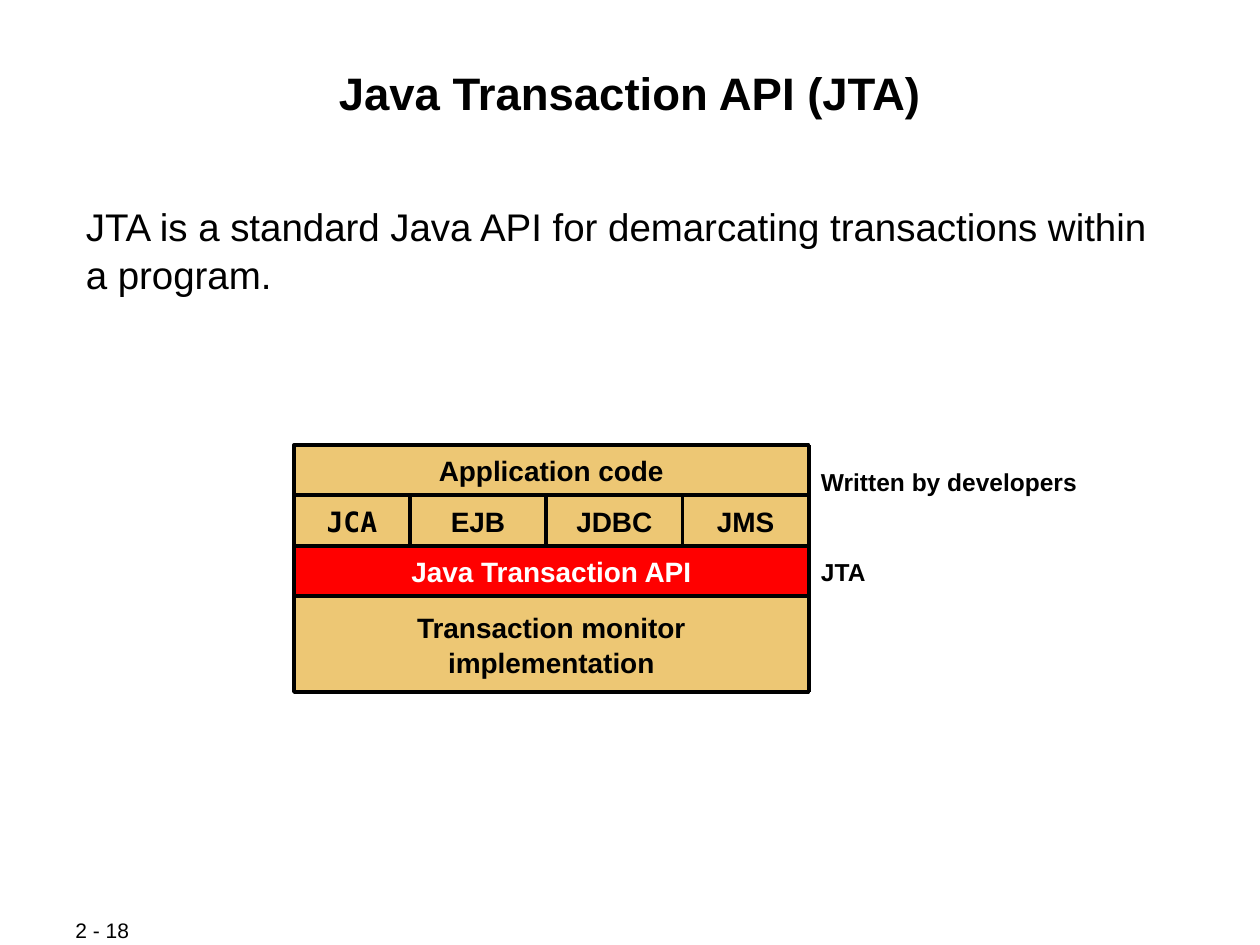
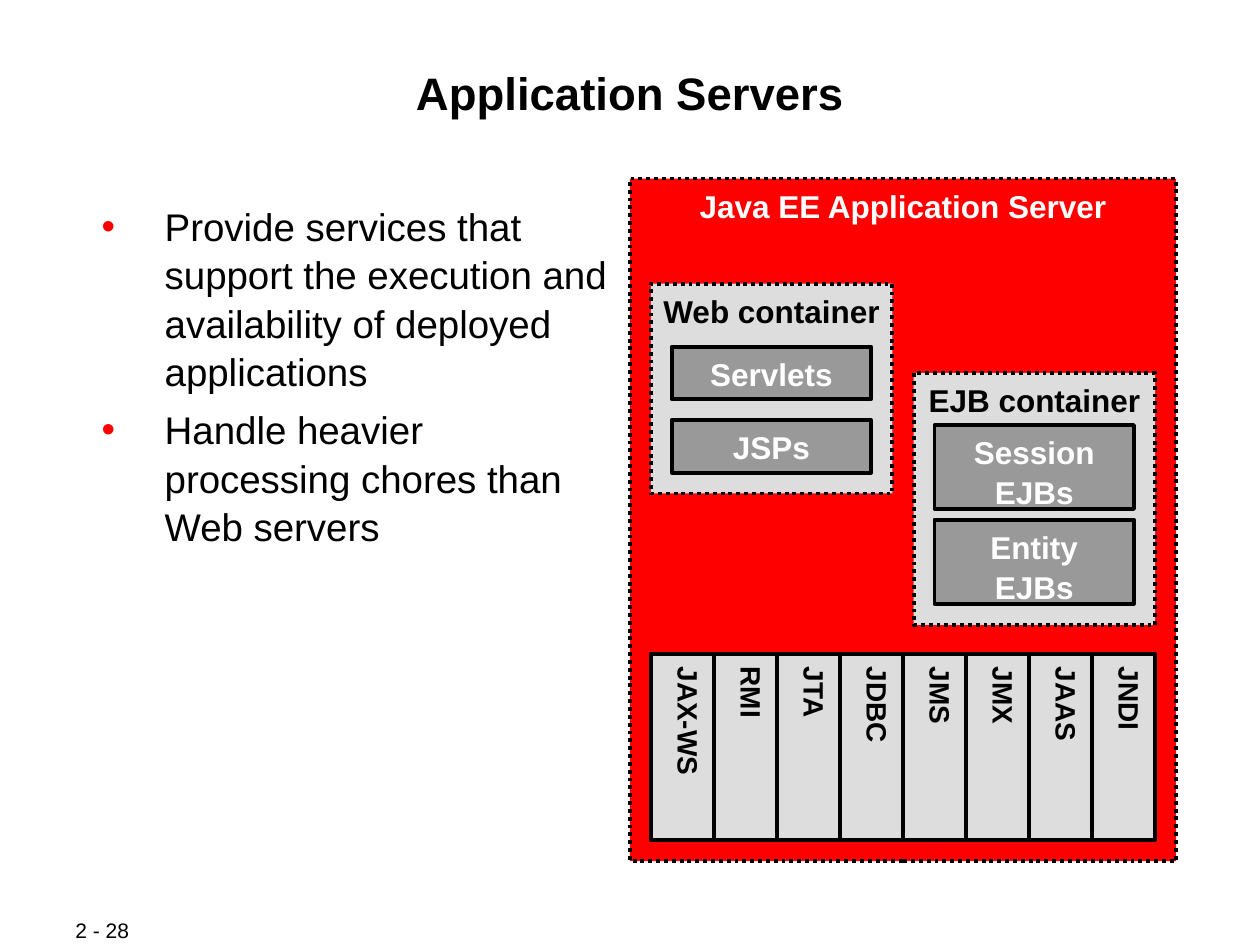
from dataclasses import dataclass
from itertools import pairwise

from lxml.etree import SubElement as sub
from pptx import Presentation
from pptx.dml.color import RGBColor as Rgb
from pptx.enum.dml import MSO_LINE as Dash
from pptx.enum.shapes import MSO_CONNECTOR as Conn, MSO_SHAPE as Form
from pptx.enum.text import MSO_ANCHOR as Anchor, MSO_AUTO_SIZE as Fit, PP_ALIGN as Align
from pptx.oxml.ns import qn
from pptx.presentation import Presentation as Deck
from pptx.slide import Slide
from pptx.text.text import TextFrame as Frame
from pptx.util import Cm, Pt


@dataclass(frozen=True)
class Theme:
    font: str = "Arial"
    mono: str = "DejaVu Sans Mono"
    black: str = "000000"
    white: str = "FFFFFF"
    red: str = "FF0000"
    tan: str = "EDC774"
    pale: str = "DDDDDD"
    grey: str = "999999"
    title: float = 26
    body: float = 22
    box: float = 18
    cell: float = 16
    label: float = 14
    foot: float = 12
    edge: float = 2.25
    thin: float = 1.5
    hair: float = 1
    lead: float = 1.05


T = Theme()


@dataclass(frozen=True)
class Area:
    left: float
    top: float
    width: float
    height: float

    def place(self) -> tuple[Cm, Cm, Cm, Cm]:
        return Cm(self.left), Cm(self.top), Cm(self.width), Cm(self.height)


@dataclass(frozen=True)
class Type:
    size: float
    color: str = T.black
    bold: bool = True
    font: str = T.font
    align: Align = Align.CENTER
    before: float = 0


@dataclass(frozen=True)
class Box:
    area: Area
    text: str
    fill: str
    style: Type
    dotted: bool = False
    anchor: Anchor = Anchor.TOP
    wrap: bool = False
    upright: bool = False


@dataclass(frozen=True)
class Rule:
    x1: float
    y1: float
    x2: float
    y2: float
    width: float


def write(frame: Frame, text: str, style: Type) -> None:
    frame.text = text
    for para in frame.paragraphs:
        para.alignment = style.align
        para.space_before = Pt(style.before)
        para.line_spacing = T.lead
        for run in para.runs:
            run.font.name = style.font
            run.font.size = Pt(style.size)
            run.font.bold = style.bold
            run.font.color.rgb = Rgb.from_string(style.color)


def inset(frame: Frame, side: float, end: float) -> None:
    frame.margin_left = frame.margin_right = Cm(side)
    frame.margin_top = frame.margin_bottom = Cm(end)


def fill_holder(holder, area: Area, text: str, style: Type) -> None:
    holder.left, holder.top, holder.width, holder.height = area.place()
    frame = holder.text_frame
    frame.auto_size = Fit.NONE
    frame.word_wrap = True
    frame.vertical_anchor = Anchor.TOP
    inset(frame, 0.03, 0.03)
    write(frame, text, style)


def set_list(frame: Frame, bullets: bool) -> None:
    for para in frame.paragraphs:
        props = para._p.get_or_add_pPr()
        props.set("marL", str(Cm(1.59) if bullets else 0))
        props.set("indent", str(Cm(-1.27) if bullets else 0))
        if bullets:
            para.level = 1
            color = sub(props, qn("a:buClr"))
            sub(color, qn("a:srgbClr"), val=T.red)
            sub(props, qn("a:buFont"), typeface=T.font)
            sub(props, qn("a:buChar"), char="•")
        else:
            sub(props, qn("a:buNone"))


def add_label(slide: Slide, area: Area, text: str, style: Type) -> None:
    frame = slide.shapes.add_textbox(*area.place()).text_frame
    frame.word_wrap = True
    frame.vertical_anchor = Anchor.MIDDLE
    inset(frame, 0.25, 0.13)
    write(frame, text, style)


def add_box(slide: Slide, box: Box) -> None:
    shape = slide.shapes.add_shape(Form.RECTANGLE, *box.area.place())
    shape.shadow.inherit = False
    shape.fill.solid()
    shape.fill.fore_color.rgb = Rgb.from_string(box.fill)
    shape.line.color.rgb = Rgb.from_string(T.black)
    shape.line.width = Pt(T.edge)
    if box.dotted:
        shape.line.dash_style = Dash.ROUND_DOT
    frame = shape.text_frame
    frame.word_wrap = box.wrap
    frame.vertical_anchor = box.anchor
    if box.upright:
        inset(frame, 0.13, 0.25)
        frame._txBody.bodyPr.set("vert", "eaVert")
    else:
        inset(frame, 0.25, 0.13)
    write(frame, box.text, box.style)


def add_rule(slide: Slide, rule: Rule) -> None:
    ends = Cm(rule.x1), Cm(rule.y1), Cm(rule.x2), Cm(rule.y2)
    line = slide.shapes.add_connector(Conn.STRAIGHT, *ends)
    line.line.color.rgb = Rgb.from_string(T.black)
    line.line.width = Pt(rule.width)
    sub(line._element.spPr, qn("a:effectLst"))


def add_page(deck: Deck, title: str, body: str, area: Area, bullets: bool, number: str) -> Slide:
    slide = deck.slides.add_slide(deck.slide_layouts[1])
    fill_holder(slide.shapes.title, Area(1.7, 1.22, 22, 2.44), title,
                Type(T.title, before=6.5))
    holder = slide.placeholders[1]
    fill_holder(holder, area, body,
                Type(T.body, bold=False, align=Align.LEFT, before=5.5))
    set_list(holder.text_frame, bullets)
    add_label(slide, Area(1.27, 18.49, 2.69, 0.51), number,
              Type(T.foot, bold=False, align=Align.JUSTIFY))
    return slide


def draw_stack(deck: Deck) -> None:
    slide = add_page(deck, "Java Transaction API (JTA)",
                     "JTA is a standard Java API for demarcating transactions within a program.",
                     Area(1.7, 4.01, 22, 1.93), False, "2 - 18")
    cols = [5.93, 8.26, 11.01, 13.76, 16.3]
    rows = [8.97, 9.98, 11, 12.01, 13.95]
    left, right = cols[0], cols[-1]
    top, low = rows[0], rows[-1]

    def layer(text: str, row: int, x1: float = left, x2: float = right,
              fill: str = T.tan, color: str = T.black, font: str = T.font) -> None:
        area = Area(x1, rows[row], x2 - x1, rows[row + 1] - rows[row])
        style = Type(T.cell, color, font=font, before=4)
        add_box(slide, Box(area, text, fill, style, anchor=Anchor.MIDDLE, wrap=True))

    layer("Application code", 0)
    for text, (x1, x2) in zip(["JCA", "EJB", "JDBC", "JMS"], pairwise(cols)):
        layer(text, 1, x1, x2, font=T.mono if text == "JCA" else T.font)
    layer("Java Transaction API", 2, fill=T.red, color=T.white)
    layer("Transaction monitor\vimplementation", 3)

    note = Type(T.label, align=Align.LEFT, before=3.5)
    add_label(slide, Area(right, 8.68, 6.14, 2.03), "Written by developers", note)
    add_label(slide, Area(right, rows[2], 4.87, 1.01), "JTA", note)

    for y in rows:
        add_rule(slide, Rule(left, y, right, y, T.edge if y in (top, low) else T.thin))
    for x in cols[1:-1]:
        add_rule(slide, Rule(x, rows[1], x, rows[2], T.thin))
    for x in (left, right):
        add_rule(slide, Rule(x, top, x, low, T.edge))


def draw_server(deck: Deck) -> None:
    points = [
        "Provide services that support the execution and availability of deployed applications",
        "Handle heavier processing chores than Web servers",
    ]
    slide = add_page(deck, "Application Servers", "\n".join(points),
                     Area(1.7, 4.01, 10.59, 6.78), True, "2 - 28")
    dark, light = Type(T.box), Type(T.box, T.white)
    add_box(slide, Box(Area(12.7, 3.6, 11.01, 13.76), "Java EE Application Server",
                       T.red, light, dotted=True))
    groups = [
        (Area(13.12, 5.72, 4.87, 4.23), "Web container", 1.06,
         [("Servlets", 6.99), ("JSPs", 8.47)]),
        (Area(18.42, 7.52, 4.87, 5.08), "EJB container", 1.69,
         [("Session\nEJBs", 8.57), ("Entity\nEJBs", 10.48)]),
    ]
    for area, name, height, parts in groups:
        add_box(slide, Box(area, name, T.pale, dark, dotted=True))
        for text, top in parts:
            inner = Area(area.left + 0.42, top, 4.02, height)
            add_box(slide, Box(inner, text, T.grey, light))

    names = ["JAX-WS", "RMI", "JTA", "JDBC", "JMS", "JMX", "JAAS", "JNDI"]
    left, top, step, height = 13.12, 13.19, 1.27, 3.74
    for i, name in enumerate(names):
        add_box(slide, Box(Area(left + i * step, top, step, height), name, T.pale,
                           Type(T.cell, before=4), wrap=True, upright=True))
    right, low = left + len(names) * step, top + height
    for y in (top, low):
        add_rule(slide, Rule(left, y, right, y, T.hair))
    for i in range(len(names) + 1):
        x = left + i * step
        add_rule(slide, Rule(x, top, x, low, T.hair))


def main() -> None:
    deck = Presentation()
    deck.slide_width, deck.slide_height = Cm(25.4), Cm(19.05)
    draw_stack(deck)
    draw_server(deck)
    deck.save("out.pptx")


if __name__ == "__main__":
    main()
